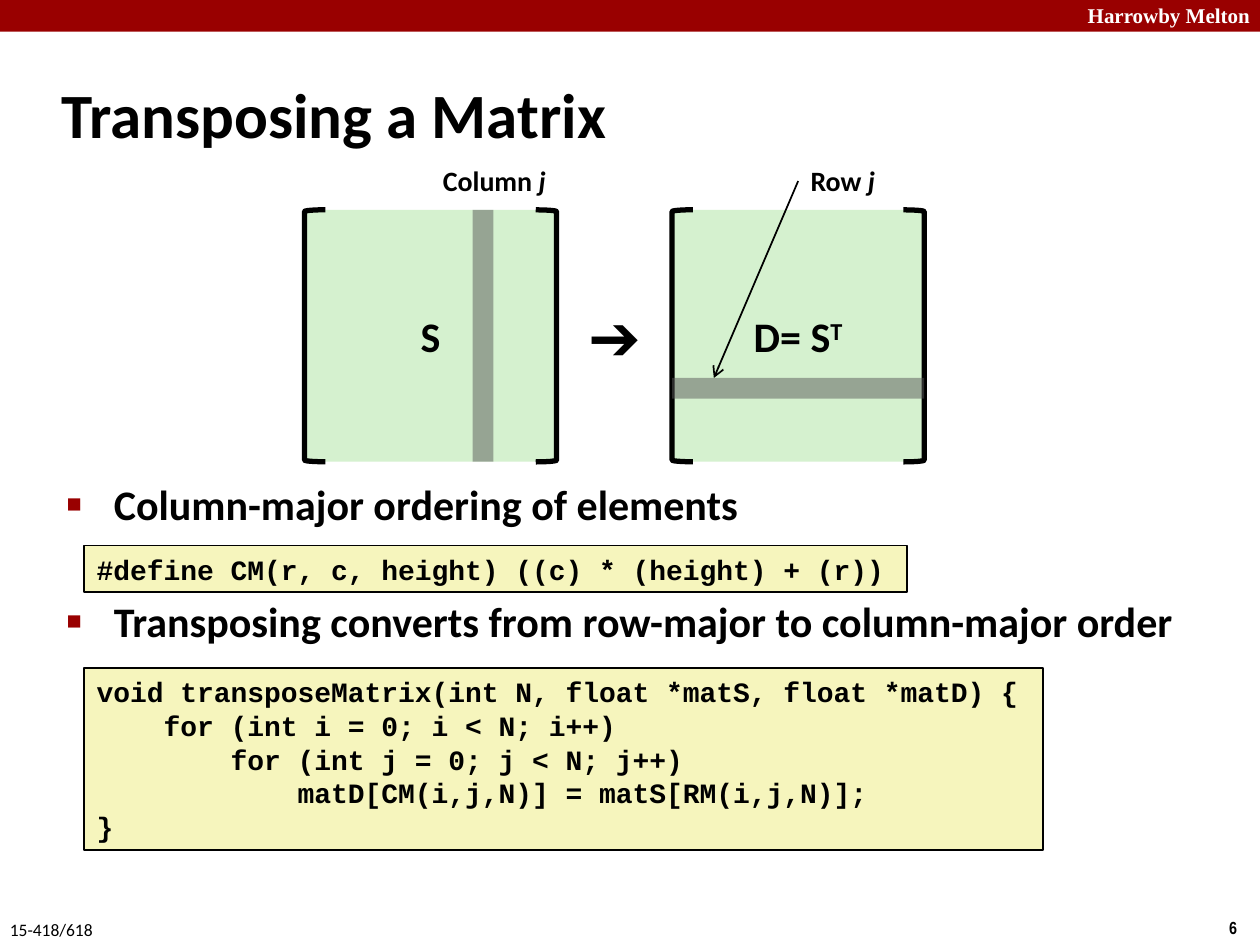
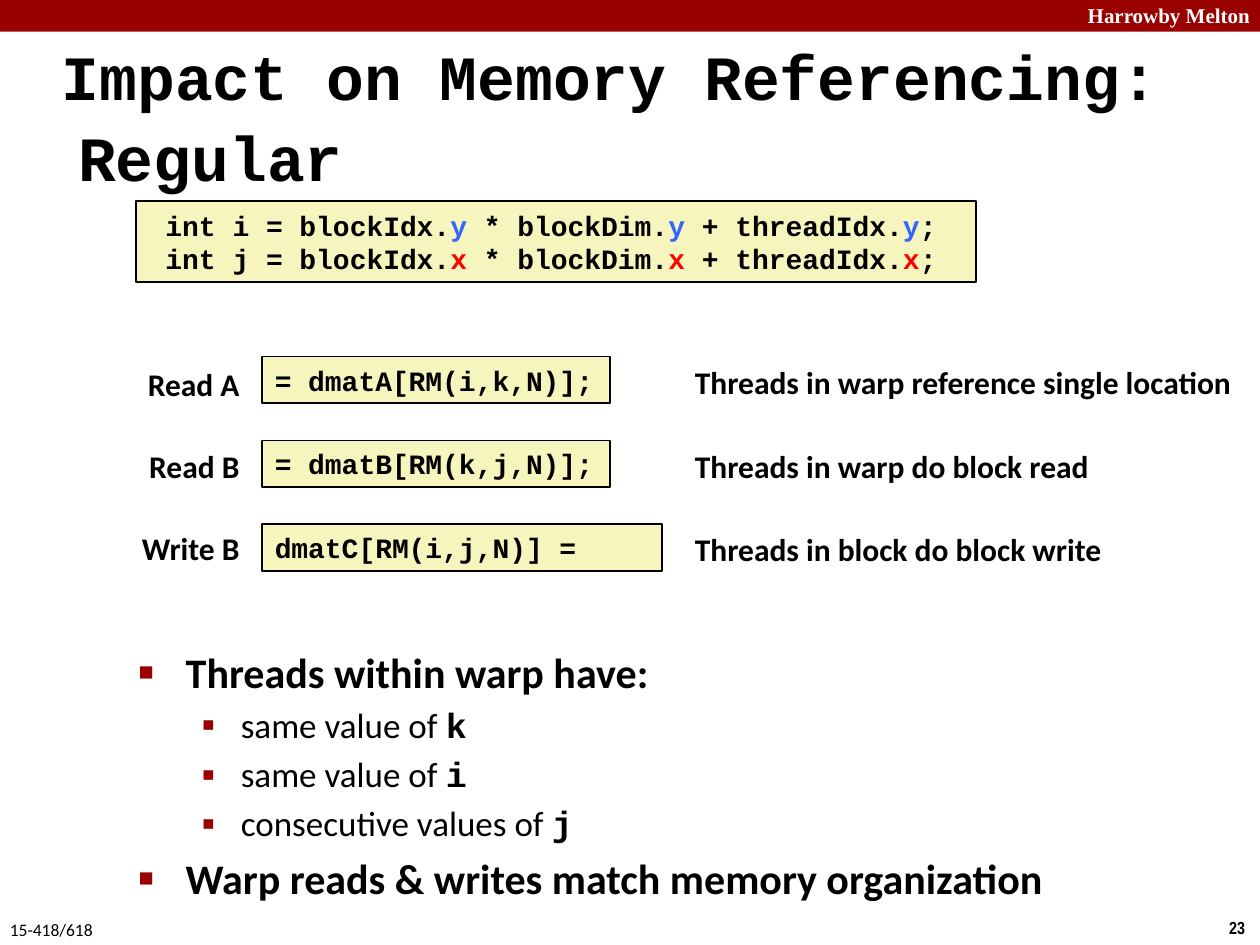
from lxml.etree import SubElement
from pptx import Presentation
from pptx.dml.color import RGBColor
from pptx.enum.shapes import MSO_CONNECTOR as Connector, MSO_SHAPE as Shape
from pptx.enum.text import MSO_ANCHOR as Anchor, MSO_AUTO_SIZE as AutoSize, PP_ALIGN as Align
from pptx.oxml.ns import qn
from pptx.util import Cm, Pt

RED = RGBColor(0x99, 0x00, 0x00)
WHITE = RGBColor(0xFF, 0xFF, 0xFF)
BLACK = RGBColor(0x00, 0x00, 0x00)
CODE_YELLOW = RGBColor(0xF6, 0xF5, 0xBD)
MATRIX_GREEN = RGBColor(0xD5, 0xF1, 0xCF)
STRIP_GRAY = RGBColor(0x59, 0x59, 0x59)
Y_BLUE = RGBColor(0x33, 0x66, 0xFF)
X_RED = RGBColor(0xFF, 0x00, 0x00)
SANS = "Calibri"
MONO = "Courier New"


def write(paragraph, text, font=SANS, size=16, color=BLACK, bold=True, italic=False, align=Align.LEFT):
    paragraph.alignment = align
    run = paragraph.add_run()
    run.text = text
    run.font.name = font
    run.font.size = Pt(size)
    run.font.color.rgb = color
    run.font.bold = bold
    run.font.italic = italic
    return run


def add_box(slide, left, top, width, height, fill=None, outline=None, anchor=Anchor.MIDDLE):
    place = Cm(left), Cm(top), Cm(width), Cm(height)
    if fill is None:
        shape = slide.shapes.add_textbox(*place)
    else:
        shape = slide.shapes.add_shape(Shape.RECTANGLE, *place)
        shape.shadow.inherit = False
        shape.fill.solid()
        shape.fill.fore_color.rgb = fill
        if outline is None:
            shape.line.fill.background()
        else:
            shape.line.color.rgb = outline
            shape.line.width = Pt(1)
    shape.text_frame.word_wrap = True
    shape.text_frame.vertical_anchor = anchor
    return shape


presentation = Presentation()
presentation.slide_width = Cm(25.4)
presentation.slide_height = Cm(19.05)

bullet_styles = [
    {"margin": 0.95, "hang": 0.95, "mark": "■", "percent": 60, "size": 24, "bold": True},
    {"margin": 2.06, "hang": 0.79, "mark": "▪", "percent": 110, "size": 20, "bold": False},
]
slide_contents = [
    {
        "number": "6", "title": "Transposing a Matrix", "font": SANS, "spacing": 1.0,
        "title_width": 21.08, "body": (1.09, 9.52, 23.24, 8.08),
        "bullets": [
            (0, "Column-major ordering of elements", "", 5),
            (0, "Transposing converts from row-major to column-major order", "", 38),
        ],
    },
    {
        "number": "23", "title": "Impact on Memory Referencing: Regular", "font": MONO, "spacing": 1.08,
        "title_width": 23.57, "body": (2.54, 12.9, 20.75, 3.38),
        "bullets": [
            (0, "Threads within warp have:", "", 5),
            (1, "same value of ", "k", 4),
            (1, "same value of ", "i", 4),
            (1, "consecutive values of ", "j", 4),
            (0, "Warp reads & writes match memory organization", "", 5),
        ],
    },
]

for content in slide_contents:
    slide = presentation.slides.add_slide(presentation.slide_layouts[1])
    add_box(slide, 0, 0, 25.4, 0.64, fill=RED)
    brand = add_box(slide, 19, -0.08, 6.45, 0.76, anchor=Anchor.TOP)
    write(brand.text_frame.paragraphs[0], "Harrowby Melton", font="Times New Roman",
          size=12, color=WHITE, align=Align.RIGHT)
    number = add_box(slide, 24.53, 18.36, 0.9, 0.69, anchor=Anchor.TOP)
    write(number.text_frame.paragraphs[0], content["number"], font="Arial Narrow", size=10)
    course = add_box(slide, -0.05, 18.41, 2.3, 0.69, anchor=Anchor.TOP)
    write(course.text_frame.paragraphs[0], "15-418/618", size=10, bold=False)

    title = slide.shapes.title
    title.left, title.top = Cm(0.99), Cm(1.22)
    title.width, title.height = Cm(content["title_width"]), Cm(2.11)
    title.text_frame.auto_size = AutoSize.NONE
    title.text_frame.vertical_anchor = Anchor.MIDDLE
    paragraph = title.text_frame.paragraphs[0]
    paragraph.line_spacing = content["spacing"]
    write(paragraph, content["title"], font=content["font"], size=36)
    properties = paragraph._p.get_or_add_pPr()
    properties.set("marL", str(Cm(0.33)))
    properties.set("indent", str(-Cm(0.33)))

    body = slide.placeholders[1]
    body.left, body.top, body.width, body.height = [Cm(length) for length in content["body"]]
    frame = body.text_frame
    frame.auto_size = AutoSize.NONE
    for index, (level, text, variable, gap) in enumerate(content["bullets"]):
        style = bullet_styles[level]
        paragraph = frame.add_paragraph() if index else frame.paragraphs[0]
        paragraph.level = level
        paragraph.space_before = Pt(gap)
        write(paragraph, text, size=style["size"], bold=style["bold"])
        if variable:
            write(paragraph, variable, font=MONO, size=style["size"])
        properties = paragraph._p.get_or_add_pPr()
        properties.set("marL", str(Cm(style["margin"])))
        properties.set("indent", str(-Cm(style["hang"])))
        bullet_color = SubElement(properties, qn("a:buClr"))
        SubElement(bullet_color, qn("a:srgbClr"), val=str(RED))
        SubElement(properties, qn("a:buSzPct"), val=str(style["percent"] * 1000))
        SubElement(properties, qn("a:buFont"), typeface="Arial")
        SubElement(properties, qn("a:buChar"), char=style["mark"])

transpose_slide, memory_slide = presentation.slides

side, matrix_top, bracket_width, strip_offset = 5.08, 4.23, 0.42, 3.39
source_left, result_left = 6.14, 13.55
strip_top = matrix_top + strip_offset
matrices = [
    (source_left, "S", "", (source_left + strip_offset, matrix_top, bracket_width, side),
     "Column ", (8.68, 3.18, 2.8, 0.94)),
    (result_left, "D= S", "T", (result_left, strip_top, side, bracket_width),
     "Row ", (16.09, 3.18, 2.1, 0.94)),
]
for left, name, exponent, strip_place, caption, caption_place in matrices:
    matrix = add_box(transpose_slide, left, matrix_top, side, side, fill=MATRIX_GREEN)
    paragraph = matrix.text_frame.paragraphs[0]
    write(paragraph, name, size=24, align=Align.CENTER)
    if exponent:
        run = write(paragraph, exponent, size=24, align=Align.CENTER)
        run._r.get_or_add_rPr().set("baseline", "30000")
    for bracket_left, rotation in [(left, 0), (left + side - bracket_width, 180)]:
        bracket = transpose_slide.shapes.add_shape(
            Shape.LEFT_BRACKET, Cm(bracket_left), Cm(matrix_top), Cm(bracket_width), Cm(side))
        bracket.rotation = rotation
        bracket.shadow.inherit = False
        bracket.fill.background()
        bracket.line.color.rgb = BLACK
        bracket.line.width = Pt(3)
    strip = add_box(transpose_slide, *strip_place, fill=STRIP_GRAY)
    strip_color = strip._element.spPr.find(qn("a:solidFill"))[0]
    SubElement(strip_color, qn("a:alpha"), val="50000")
    label = add_box(transpose_slide, *caption_place, anchor=Anchor.TOP)
    write(label.text_frame.paragraphs[0], caption)
    write(label.text_frame.paragraphs[0], "j", italic=True)

row_arrow = transpose_slide.shapes.add_connector(
    Connector.STRAIGHT, Cm(16.09), Cm(3.65), Cm(14.39), Cm(strip_top))
row_arrow.begin_connect(label, 1)
row_arrow.line.color.rgb = BLACK
row_arrow.line.width = Pt(1)
SubElement(row_arrow.line._get_or_add_ln(), qn("a:tailEnd"), type="arrow")
SubElement(row_arrow._element.spPr, qn("a:effectLst"))

becomes = add_box(transpose_slide, 11.22, matrix_top, 2.34, side)
write(becomes.text_frame.paragraphs[0], "➔", font="Arial", size=36, bold=False, align=Align.CENTER)

transpose_code = """void transposeMatrix(int N, float *matS, float *matD) {
    for (int i = 0; i < N; i++)
        for (int j = 0; j < N; j++)
            matD[CM(i,j,N)] = matS[RM(i,j,N)];
}"""
code_boxes = [
    (transpose_slide, (1.7, 11, 16.59, 0.94), "#define CM(r, c, height) ((c) * (height) + (r))"),
    (transpose_slide, (1.7, 13.46, 19.33, 3.68), transpose_code),
]

index_box = add_box(memory_slide, 2.75, 4.06, 16.93, 1.63, fill=CODE_YELLOW, outline=BLACK)
index_frame = index_box.text_frame
index_frame.add_paragraph()
for paragraph, index_name, axis, color in zip(index_frame.paragraphs, "ij", "yx", [Y_BLUE, X_RED]):
    for code in [f" int {index_name} = blockIdx.", " * blockDim.", " + threadIdx."]:
        write(paragraph, code, font=MONO)
        write(paragraph, axis, font=MONO, color=color)
    write(paragraph, ";", font=MONO)

accesses = [
    ("Read A", "= dmatA[RM(i,k,N)];", 7.01, "Threads in warp reference single location"),
    ("Read B", "= dmatB[RM(k,j,N)];", 7.01, "Threads in warp do block read"),
    ("Write B", "dmatC[RM(i,j,N)] =", 8.05, "Threads in block do block write"),
]
for row, (access, code, code_width, remark) in enumerate(accesses):
    row_top = 7.19 + 1.69 * row
    code_boxes.append((memory_slide, (5.29, row_top, code_width, 0.94), code))
    label = add_box(memory_slide, 2.34, 7.24 + 1.65 * row, 2.74, 1.02, anchor=Anchor.TOP)
    write(label.text_frame.paragraphs[0], access, size=18, align=Align.RIGHT)
    label = add_box(memory_slide, 13.76, row_top, 11.6, 1.02, anchor=Anchor.TOP)
    write(label.text_frame.paragraphs[0], remark, size=18)

for slide, place, code in code_boxes:
    code_box = add_box(slide, *place, fill=CODE_YELLOW, outline=BLACK)
    frame = code_box.text_frame
    for index, line in enumerate(code.split("\n")):
        paragraph = frame.add_paragraph() if index else frame.paragraphs[0]
        write(paragraph, line, font=MONO)

presentation.save("out.pptx")
